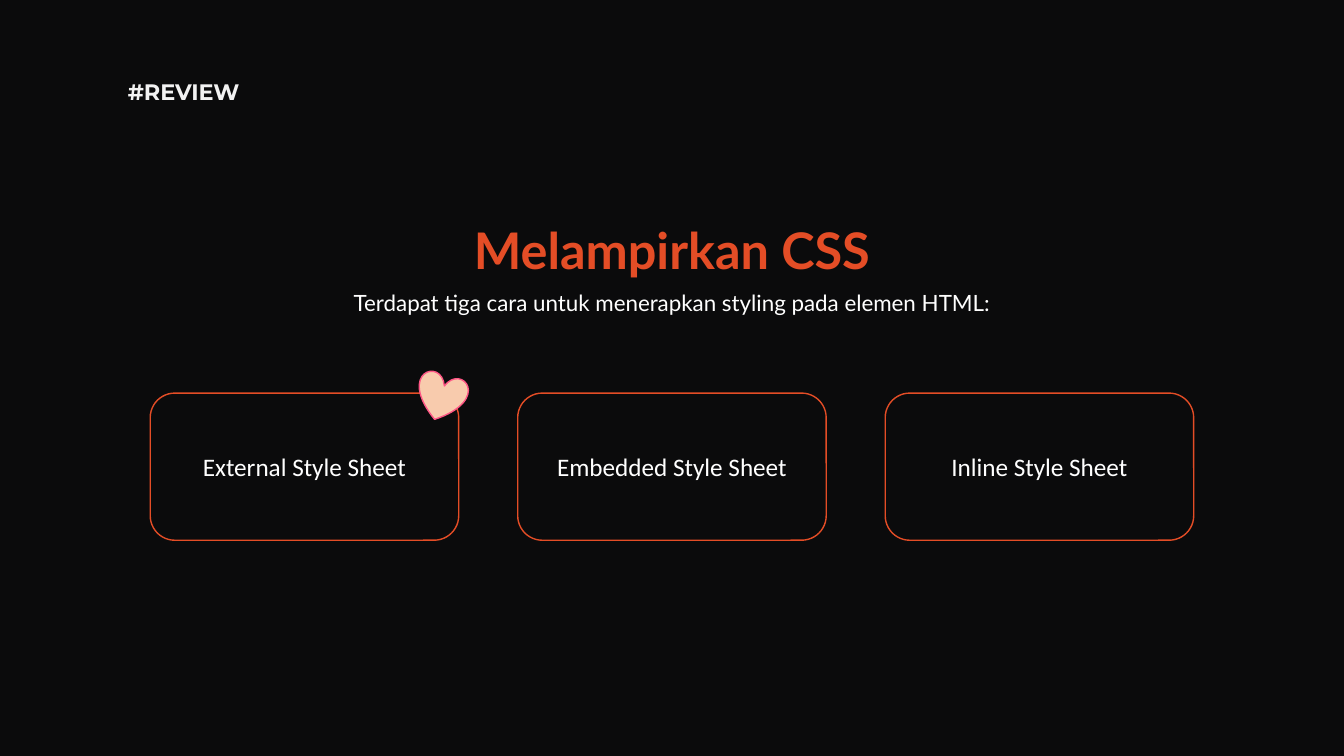
from pptx import Presentation
from pptx.dml.color import RGBColor
from pptx.enum.shapes import MSO_SHAPE
from pptx.enum.text import MSO_ANCHOR, MSO_AUTO_SIZE, PP_ALIGN
from pptx.util import Inches, Pt

BLACK = RGBColor(0x0B, 0x0B, 0x0C)
ORANGE = RGBColor(0xE4, 0x4D, 0x26)
WHITE = RGBColor(0xFF, 0xFF, 0xFF)
OFF_WHITE = RGBColor(0xF2, 0xF2, 0xF2)
PEACH = RGBColor(0xF8, 0xCB, 0xAD)
PINK = RGBColor(0xFE, 0x56, 0x85)

SLIDE_W, SLIDE_H = 13.33, 7.5
TAG = dict(name="Montserrat", size=Pt(16), bold=True, color=OFF_WHITE)
TITLE = dict(name="Lato", size=Pt(36), bold=True, color=ORANGE)
SUBTITLE = dict(name="Lato", size=Pt(16), color=WHITE)
CARD = dict(name="Calibri", size=Pt(18), color=WHITE)

METHODS = ("External Style Sheet", "Embedded Style Sheet", "Inline Style Sheet")
CARD_W = 3.06


def write(frame, words, style, align):
    paragraph = frame.paragraphs[0]
    paragraph.alignment = align
    run = paragraph.add_run()
    run.text = words
    for key, value in style.items():
        if key == "color":
            run.font.color.rgb = value
        else:
            setattr(run.font, key, value)


def add_label(slide, box, words, style, align=PP_ALIGN.CENTER, wrap=True):
    frame = slide.shapes.add_textbox(*map(Inches, box)).text_frame
    frame.word_wrap = wrap
    frame.auto_size = MSO_AUTO_SIZE.SHAPE_TO_FIT_TEXT
    write(frame, words, style, align)


def add_outlined(slide, preset, box, line_color):
    shape = slide.shapes.add_shape(preset, *map(Inches, box))
    shape.shadow.inherit = False
    shape.fill.background()
    shape.line.color.rgb = line_color
    shape.line.width = Pt(1)
    return shape


def add_heading(slide, box):
    """Title over the full box width, subtitle inset below it."""
    left, top, width, height = box
    title_h = 0.71
    inset = 1.24
    add_label(slide, (left, top, width, title_h), "Melampirkan CSS", TITLE)
    add_label(slide, (left + inset, top + 0.7, width - 2 * inset, height - 0.7),
              "Terdapat tiga cara untuk menerapkan styling pada elemen HTML:",
              SUBTITLE)


def add_method_cards(slide, box):
    """Equal cards spread over the box, with a heart on the first card's corner."""
    left, top, width, height = box
    pitch = (width - CARD_W) / (len(METHODS) - 1)
    for column, method in enumerate(METHODS):
        card = add_outlined(slide, MSO_SHAPE.ROUNDED_RECTANGLE,
                            (left + column * pitch, top, CARD_W, height), ORANGE)
        card.text_frame.vertical_anchor = MSO_ANCHOR.MIDDLE
        write(card.text_frame, method, CARD, PP_ALIGN.CENTER)
    heart = add_outlined(slide, MSO_SHAPE.HEART,
                         (left + CARD_W - 0.42, top - 0.19, 0.49, 0.46), PINK)
    heart.fill.solid()
    heart.fill.fore_color.rgb = PEACH
    heart.rotation = 16.3


def main():
    deck = Presentation()
    deck.slide_width, deck.slide_height = Inches(SLIDE_W), Inches(SLIDE_H)
    slide = deck.slides.add_slide(deck.slide_layouts[6])
    slide.background.fill.solid()
    slide.background.fill.fore_color.rgb = BLACK

    add_heading(slide, (0, 2.12, SLIDE_W, 1.07))
    add_method_cards(slide, (1.49, 3.9, 10.35, 1.46))
    add_label(slide, (1.17, 0.73, 1.33, 0.37), "#REVIEW", TAG,
              PP_ALIGN.LEFT, wrap=False)
    deck.save("out.pptx")


if __name__ == "__main__":
    main()
